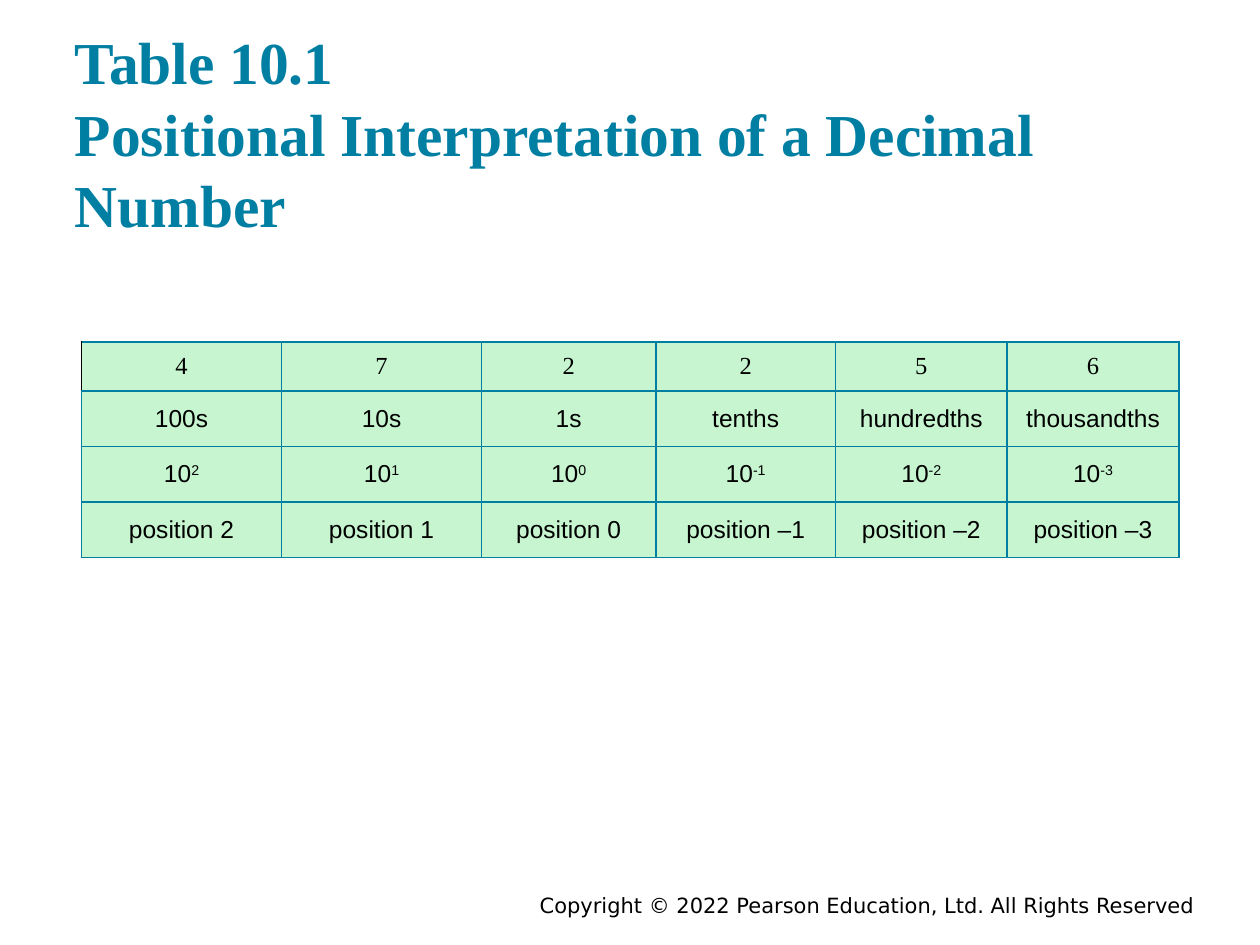
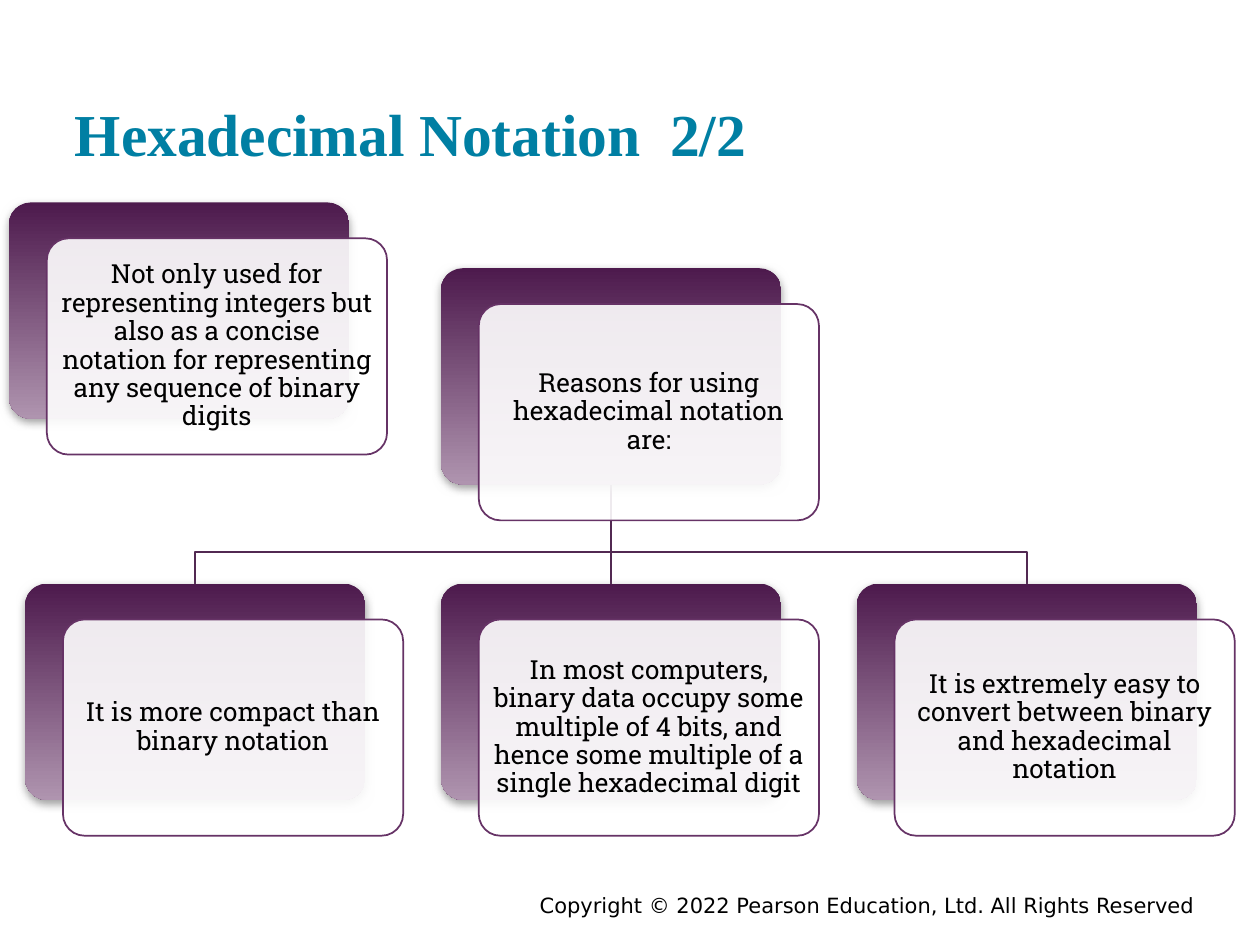
import pptx
import pptx.dml.color
import pptx.enum.shapes
import pptx.enum.text
import pptx.oxml
import pptx.oxml.ns
import pptx.util

Pt = pptx.util.Pt
SHAPE = pptx.enum.shapes.MSO_SHAPE
ALIGN = pptx.enum.text.PP_ALIGN
ANCHOR = pptx.enum.text.MSO_ANCHOR
NS = pptx.oxml.ns.nsdecls("a")

TEAL = "007FA3"
BLACK = "000000"
WHITE = "FFFFFF"
MINT = "C6F5CF"
PLUM = "4D1A4D"
MAUVE = "AF94AF"
EDGE = "663366"
LINK = "522952"
SERIF = "Times New Roman"

CARD_W, CARD_H = 194.4, 123.6
SHIFT_X, SHIFT_Y = 21.6, 20.5
LEFT, PITCH = 14.4, 237.6
TOP, LOW = 153.3, 333.5

WIDTHS = [114.3, 114.3, 99.6, 102.7, 98.1, 98.1]
HEIGHTS = [28, 31.7, 31.7, 31.7]
DIGITS = ["4", "7", "2", "2", "5", "6"]
VALUES = ["100s", "10s", "1s", "tenths", "hundredths", "thousandths"]
POWERS = ["2", "1", "0", "-1", "-2", "-3"]

REASONS = [
    "It is more compact than binary notation",
    "In most computers, binary data occupy some multiple of 4 bits, "
    "and hence some multiple of a single hexadecimal digit",
    "It is extremely easy to convert between binary and hexadecimal notation",
]


def hue(code):
    return pptx.dml.color.RGBColor.from_string(code)


def style(para, font, size, color=BLACK, bold=False):
    for run in para.runs:
        run.font.name = font
        run.font.size = Pt(size)
        run.font.bold = bold
        run.font.color.rgb = hue(color)


def inset(frame, side, top):
    frame.margin_left = frame.margin_right = Pt(side)
    frame.margin_top = frame.margin_bottom = Pt(top)
    frame.word_wrap = True


def add_page(deck, title, top, height):
    slide = deck.slides.add_slide(deck.slide_layouts[5])
    head = slide.shapes.title
    head.left, head.top, head.width, head.height = Pt(35.6), Pt(top), Pt(648), Pt(height)
    frame = head.text_frame
    frame.text = title
    frame.auto_size = pptx.enum.text.MSO_AUTO_SIZE.NONE
    frame.vertical_anchor = ANCHOR.BOTTOM
    inset(frame, 7.2, 7.2)
    para = frame.paragraphs[0]
    para.alignment = ALIGN.LEFT
    style(para, SERIF, 34, TEAL, True)
    add_foot(slide)
    return slide


def add_foot(slide):
    box = slide.shapes.add_textbox(Pt(126), Pt(506.2), Pt(563.8), Pt(15.8))
    frame = box.text_frame
    frame.text = "Copyright © 2022 Pearson Education, Ltd. All Rights Reserved"
    inset(frame, 7.2, 3.6)
    para = frame.paragraphs[0]
    para.alignment = ALIGN.RIGHT
    style(para, "DejaVu Sans", 12)


def set_edge(cell, side, color):
    props = cell._tc.get_or_add_tcPr()
    props.append(pptx.oxml.parse_xml(
        f'<a:ln{side} {NS} w="12700"><a:solidFill><a:srgbClr val="{color}"/>'
        f'</a:solidFill></a:ln{side}>'))


def fill_cell(cell, text, font, power="", left=TEAL):
    for side in "LRTB":
        set_edge(cell, side, left if side == "L" else TEAL)
    cell.fill.solid()
    cell.fill.fore_color.rgb = hue(MINT)
    cell.vertical_anchor = ANCHOR.MIDDLE
    para = cell.text_frame.paragraphs[0]
    para.text = text
    para.alignment = ALIGN.CENTER
    if power:
        run = para.add_run()
        run.text = power
        run._r.get_or_add_rPr().set("baseline", "30000")
    style(para, font, 14)


def add_grid(slide):
    frame = slide.shapes.add_table(
        len(HEIGHTS), len(WIDTHS), Pt(46.6), Pt(195.4), Pt(sum(WIDTHS)), Pt(sum(HEIGHTS)))
    table = frame.table
    table.first_row = table.horz_banding = False
    for row, height in zip(table.rows, HEIGHTS):
        row.height = Pt(height)
    for col, width in enumerate(WIDTHS):
        table.columns[col].width = Pt(width)
        power = POWERS[col]
        place = "position " + power.replace("-", "–")
        fill_cell(table.cell(0, col), DIGITS[col], SERIF, left=TEAL if col else BLACK)
        fill_cell(table.cell(1, col), VALUES[col], "Arial")
        fill_cell(table.cell(2, col), "10", "Arial", power)
        fill_cell(table.cell(3, col), place, "Arial")


def add_round(slide, x, y):
    shape = slide.shapes.add_shape(
        SHAPE.ROUNDED_RECTANGLE, Pt(x), Pt(y), Pt(CARD_W), Pt(CARD_H))
    shape.adjustments[0] = 0.1
    shape.shadow.inherit = False
    return shape


def add_card(slide, x, y, text):
    back = add_round(slide, x, y)
    back.line.fill.background()
    back.fill.gradient()
    back.fill.gradient_angle = 270
    for stop, color in zip(back.fill.gradient_stops, (PLUM, MAUVE)):
        stop.color.rgb = hue(color)
    back._element.spPr.find(pptx.oxml.ns.qn("a:effectLst")).append(pptx.oxml.parse_xml(
        f'<a:outerShdw {NS} blurRad="63500" dist="25400" dir="5400000" rotWithShape="0">'
        '<a:srgbClr val="808080"><a:alpha val="75000"/></a:srgbClr></a:outerShdw>'))

    front = add_round(slide, x + SHIFT_X, y + SHIFT_Y)
    front.fill.solid()
    front.fill.fore_color.rgb = hue(WHITE)
    tint = front._element.spPr.find(".//" + pptx.oxml.ns.qn("a:srgbClr"))
    tint.append(pptx.oxml.parse_xml(f'<a:alpha {NS} val="90000"/>'))
    front.line.color.rgb = hue(EDGE)
    front.line.width = Pt(1)
    frame = front.text_frame
    frame.text = text
    frame.vertical_anchor = ANCHOR.MIDDLE
    inset(frame, 4.3, 4.3)
    para = frame.paragraphs[0]
    para.alignment = ALIGN.CENTER
    para.line_spacing = 0.9
    style(para, "Roboto Slab", 15)
    return back


def send_back(slide, link):
    link.line.color.rgb = hue(LINK)
    link.line.width = Pt(1)
    slide.shapes._spTree.insert(2, link._element)


def add_stem(slide, root, leaf):
    link = slide.shapes.add_connector(pptx.enum.shapes.MSO_CONNECTOR.STRAIGHT, 0, 0, 0, 0)
    link.begin_connect(root, 2)
    link.end_connect(leaf, 0)
    link._element.spPr.append(pptx.oxml.parse_xml(f"<a:effectLst {NS}/>"))
    send_back(slide, link)


def add_branch(slide, root, leaf):
    start = root.left + root.width // 2
    end = leaf.left + leaf.width // 2
    bend = leaf.top - Pt(18)
    path = slide.shapes.build_freeform(start, root.top + root.height)
    path.add_line_segments([(start, bend), (end, bend), (end, leaf.top)], close=False)
    link = path.convert_to_shape()
    link.fill.background()
    link.shadow.inherit = False
    send_back(slide, link)


def main():
    deck = pptx.Presentation()
    deck.slide_width, deck.slide_height = Pt(720), Pt(540)

    slide = add_page(
        deck, "Table 10.1 \vPositional Interpretation of a Decimal Number", 15.8, 128.2)
    add_grid(slide)

    slide = add_page(deck, "Hexadecimal Notation  2/2", 17.3, 86.4)
    add_card(slide, 5.2, 115.7,
             "Not only used for representing integers but also as a concise "
             "notation for representing any sequence of binary digits")
    root = add_card(slide, LEFT + PITCH, TOP, "Reasons for using hexadecimal notation are:")
    leaves = [add_card(slide, LEFT + i * PITCH, LOW, text) for i, text in enumerate(REASONS)]
    add_branch(slide, root, leaves[0])
    add_stem(slide, root, leaves[1])
    add_branch(slide, root, leaves[2])

    deck.save("out.pptx")


if __name__ == "__main__":
    main()
